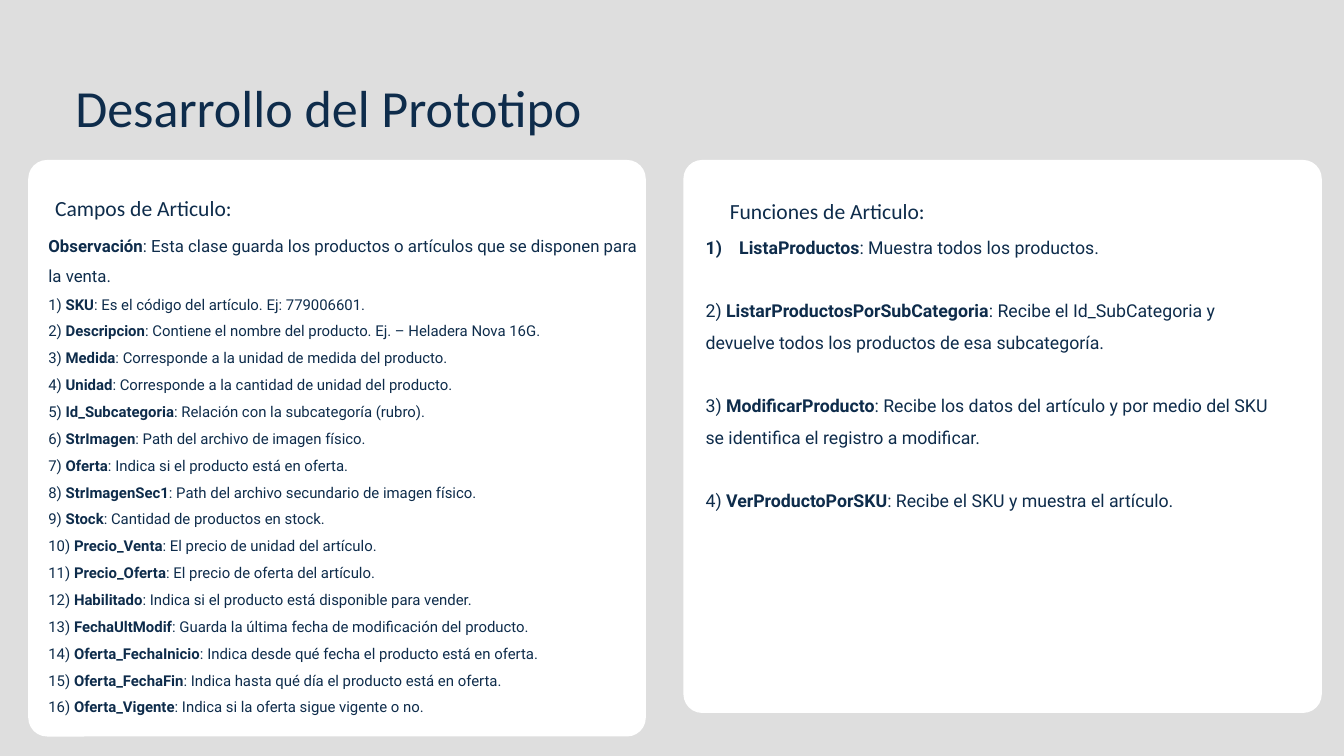
from dataclasses import dataclass

from lxml import etree
from pptx import Presentation
from pptx.dml.color import RGBColor
from pptx.enum.shapes import MSO_SHAPE
from pptx.enum.text import MSO_ANCHOR, MSO_AUTO_SIZE, PP_ALIGN
from pptx.oxml.ns import qn
from pptx.util import Inches, Pt

ROUNDED = MSO_SHAPE.ROUNDED_RECTANGLE
TOP = MSO_ANCHOR.TOP
NO_AUTOFIT = MSO_AUTO_SIZE.NONE
LEFT = PP_ALIGN.LEFT
NAVY = RGBColor(0x0E, 0x2C, 0x4B)
WHITE = RGBColor(0xFF, 0xFF, 0xFF)
GREY = RGBColor(0xDE, 0xDE, 0xDE)
HEADING_FONT = "Calibri"
BODY_FONT = "Roboto"
CORNER_RADIUS = 0.28
COMPARISON_LAYOUT = 4


@dataclass
class Box:
    left: float
    top: float
    width: float
    height: float


@dataclass
class Entry:
    prefix: str
    name: str
    description: str
    size: float
    gap: float = 0
    auto_number: bool = False


@dataclass
class Panel:
    card: Box
    heading: str
    heading_box: Box
    body_box: Box
    entries: list[Entry]


FIELDS = [
    ("SKU", "Es el código del artículo. Ej: 779006601."),
    ("Descripcion", "Contiene el nombre del producto. Ej. – Heladera Nova 16G."),
    ("Medida", "Corresponde a la unidad de medida del producto."),
    ("Unidad", "Corresponde a la cantidad de unidad del producto."),
    ("Id_Subcategoria", "Relación con la subcategoría (rubro)."),
    ("StrImagen", "Path del archivo de imagen físico."),
    ("Oferta", "Indica si el producto está en oferta."),
    ("StrImagenSec1", "Path del archivo secundario de imagen físico."),
    ("Stock", "Cantidad de productos en stock."),
    ("Precio_Venta", "El precio de unidad del artículo."),
    ("Precio_Oferta", "El precio de oferta del artículo."),
    ("Habilitado", "Indica si el producto está disponible para vender."),
    ("FechaUltModif", "Guarda la última fecha de modificación del producto."),
    ("Oferta_FechaInicio", "Indica desde qué fecha el producto está en oferta."),
    ("Oferta_FechaFin", "Indica hasta qué día el producto está en oferta."),
    ("Oferta_Vigente", "Indica si la oferta sigue vigente o no."),
]
FIELD_ENTRIES = [
    Entry("", "Observación", ": Esta clase guarda los productos o artículos que se disponen para la venta.", 18)
] + [
    Entry(f"{number}) ", name, f": {description}", 16)
    for number, (name, description) in enumerate(FIELDS, 1)
]
FUNCTION_ENTRIES = [
    Entry("", "ListaProductos", ": Muestra todos los productos.", 19, auto_number=True),
    Entry("2) ", "ListarProductosPorSubCategoria", ": Recibe el Id_SubCategoria y", 19, 33.5),
    Entry("", "", "devuelve todos los productos de esa subcategoría.", 19),
    Entry("3) ", "ModificarProducto", ": Recibe los datos del artículo y por medio del SKU "
          "se identifica el registro a modificar.", 19, 33.5),
    Entry("4) ", "VerProductoPorSKU", ": Recibe el SKU y muestra el artículo.", 19, 33.5),
]
PANELS = [
    Panel(Box(0.42, 2.38, 9.19, 8.58), "Campos de Articulo:",
          Box(0.82, 2.84, 8.58, 0.45), Box(0.72, 3.36, 8.78, 7.37), FIELD_ENTRIES),
    Panel(Box(10.17, 2.38, 9.5, 8.23), "Funciones de Articulo:",
          Box(10.86, 2.88, 8.47, 0.45), Box(10.5, 3.36, 8.47, 4.32), FUNCTION_ENTRIES),
]


def place(shape, box: Box) -> None:
    shape.left, shape.top = Inches(box.left), Inches(box.top)
    shape.width, shape.height = Inches(box.width), Inches(box.height)


def prepare_frame(shape, box: Box):
    place(shape, box)
    frame = shape.text_frame
    frame.margin_left = frame.margin_right = 0
    frame.margin_top = frame.margin_bottom = 0
    frame.vertical_anchor = TOP
    frame.auto_size = NO_AUTOFIT
    frame.word_wrap = True
    return frame


def add_run(paragraph, text: str, font: str, size: float, bold: bool = False) -> None:
    run = paragraph.add_run()
    run.text = text
    run.font.name = font
    run.font.size = Pt(size)
    run.font.bold = bold
    run.font.color.rgb = NAVY


def write_heading(shape, box: Box, text: str, size: float, line_height: float) -> None:
    paragraph = prepare_frame(shape, box).paragraphs[0]
    paragraph.alignment = LEFT
    paragraph.line_spacing = Pt(line_height)
    paragraph.space_before = Pt(0)
    add_run(paragraph, text, HEADING_FONT, size)


def set_bullet(paragraph, auto_number: bool) -> None:
    properties = paragraph._p.get_or_add_pPr()
    indent = Inches(0.5) if auto_number else 0
    properties.set("marL", str(indent))
    properties.set("indent", str(-indent))
    if auto_number:
        etree.SubElement(properties, qn("a:buFont")).set("typeface", BODY_FONT)
        etree.SubElement(properties, qn("a:buAutoNum")).set("type", "arabicParenR")
    else:
        etree.SubElement(properties, qn("a:buNone"))


def write_entries(shape, box: Box, entries: list[Entry]) -> None:
    frame = prepare_frame(shape, box)
    for index, entry in enumerate(entries):
        paragraph = frame.add_paragraph() if index else frame.paragraphs[0]
        paragraph.alignment = LEFT
        paragraph.line_spacing = 1.5
        paragraph.space_before = Pt(entry.gap)
        set_bullet(paragraph, entry.auto_number)
        for text, bold in ((entry.prefix, False), (entry.name, True), (entry.description, False)):
            if text:
                add_run(paragraph, text, BODY_FONT, entry.size, bold)


def add_card(slide, box: Box) -> None:
    card = slide.shapes.add_shape(ROUNDED, 0, 0, 0, 0)
    place(card, box)
    card.adjustments[0] = CORNER_RADIUS / min(box.width, box.height)
    card.shadow.inherit = False
    card.fill.solid()
    card.fill.fore_color.rgb = WHITE
    card.line.fill.background()
    card.element.getparent().insert(2, card.element)


def main() -> None:
    presentation = Presentation()
    presentation.slide_width = Inches(20)
    presentation.slide_height = Inches(11.25)
    slide = presentation.slides.add_slide(presentation.slide_layouts[COMPARISON_LAYOUT])
    slide.background.fill.solid()
    slide.background.fill.fore_color.rgb = GREY

    title, *placeholders = slide.placeholders
    write_heading(title, Box(1.12, 1.12, 13.22, 0.93), "Desarrollo del Prototipo", 55.8, 66.9)
    for panel, heading, body in zip(PANELS, placeholders[::2], placeholders[1::2]):
        add_card(slide, panel.card)
        write_heading(heading, panel.heading_box, panel.heading, 23.1, 32.4)
        write_entries(body, panel.body_box, panel.entries)
    presentation.save("out.pptx")


if __name__ == "__main__":
    main()
